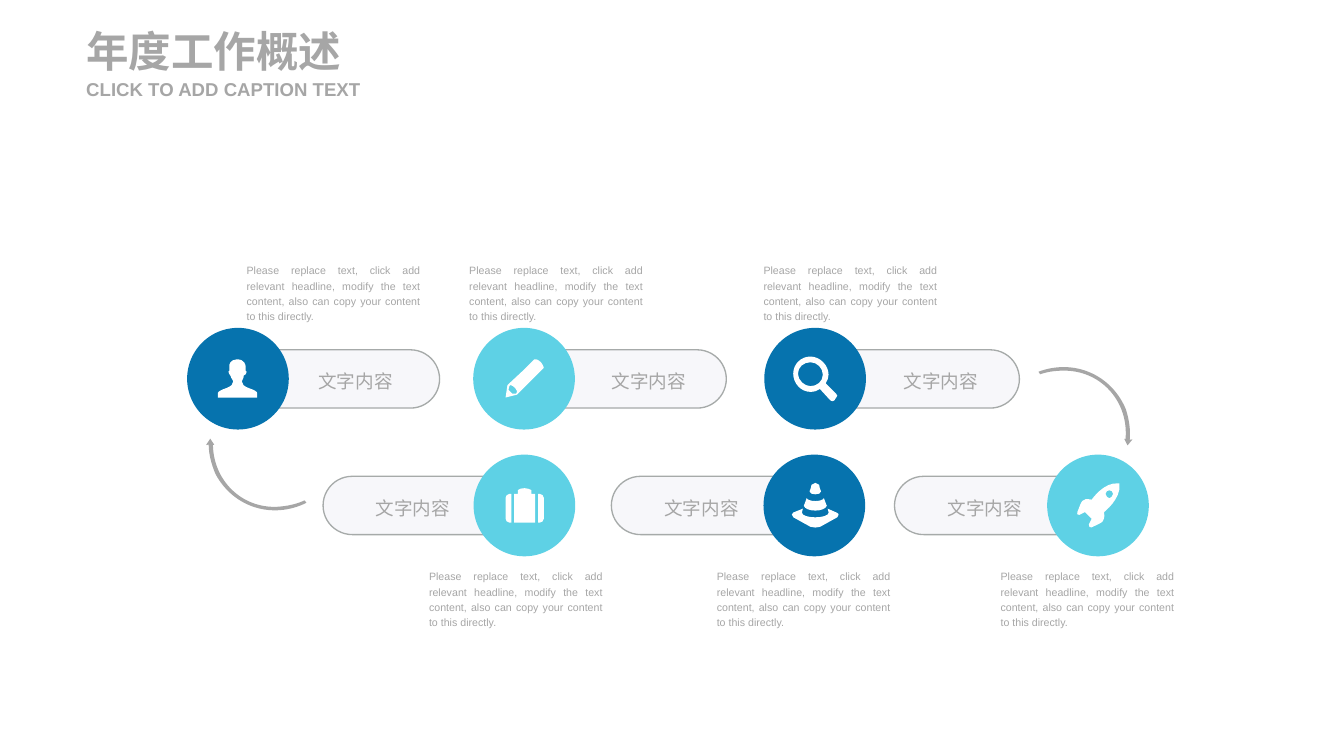
import dataclasses

import lxml.etree
import pptx
import pptx.dml.color
import pptx.enum.shapes
import pptx.enum.text
import pptx.oxml.ns
import pptx.util

Pt = pptx.util.Pt
qn = pptx.oxml.ns.qn
SHAPES = pptx.enum.shapes.MSO_SHAPE
ALIGN = pptx.enum.text.PP_ALIGN
ANCHOR = pptx.enum.text.MSO_ANCHOR


@dataclasses.dataclass(frozen=True)
class Theme:
    font: str = "Arial"
    blue: str = "0673AE"
    cyan: str = "5ED1E5"
    white: str = "FFFFFF"
    pill: str = "F7F7FA"
    pill_edge: str = "A6AAA9"
    gray: str = "A6A6A6"
    title_size: float = 32
    label_size: float = 14
    body_size: float = 8


@dataclasses.dataclass(frozen=True)
class Outline:
    width: int
    height: int
    commands: str


LABEL = "文字内容"
BODY = ("Please replace text, click add relevant headline, modify the text content, "
        "also can copy your content to this directly.")

GRID = 0.72
COMMANDS = {"M": ("a:moveTo", 1), "L": ("a:lnTo", 1), "C": ("a:cubicBezTo", 3), "Z": ("a:close", 0)}

PERSON = Outline(41, 40, (
    "M 32 30 C 27 28 25 26 25 23 C 25 21 27 21 27 17 C 28 16 29 17 30 13 "
    "C 30 12 29 12 29 12 C 29 12 29 9 29 8 C 29 6 28 0 20 0 C 13 0 11 6 12 8 "
    "C 12 9 12 12 12 12 C 12 12 11 12 11 13 C 12 17 13 16 13 17 "
    "C 14 21 16 21 16 23 C 16 26 14 28 9 30 C 3 32 0 34 0 35 C 0 37 0 40 0 40 "
    "L 20 40 L 41 40 C 41 40 41 37 41 35 C 41 34 38 32 32 30 Z"))
PENCIL = Outline(40, 40, (
    "M 11 36 L 7 36 C 7 36 6 35 5 34 C 4 33 4 33 3 32 L 4 28 L 5 27 "
    "C 5 27 7 27 10 30 C 12 32 12 34 12 34 C 12 34 11 36 11 36 Z "
    "M 37 3 C 33 -1 30 0 30 0 L 17 13 L 2 27 L 0 40 L 12 37 L 27 22 L 40 9 "
    "C 40 9 40 7 37 3 Z"))
MAGNIFIER = Outline(46, 46, (
    "M 5 18 C 5 11 11 6 18 6 C 25 6 31 12 31 19 C 31 26 25 31 18 31 "
    "C 12 31 5 25 5 18 Z "
    "M 45 39 L 34 28 C 36 25 37 22 37 19 C 37 9 28 0 18 0 C 8 0 0 8 0 18 "
    "C 0 28 8 37 18 37 C 22 37 25 36 28 34 L 39 46 C 40 47 42 47 43 46 "
    "L 45 43 C 47 42 46 40 45 39 Z"))
SUITCASE = Outline(40, 36, (
    "M 20 0 C 16 0 14 1 13 2 L 13 6 L 9 6 L 9 36 L 31 36 L 31 6 L 27 6 "
    "C 27 6 27 2 27 2 C 25 1 23 0 20 0 Z "
    "M 4 6 C 2 6 0 8 0 10 L 0 32 C 0 34 2 36 4 36 L 6 36 L 6 6 L 4 6 Z "
    "M 34 6 L 34 36 L 36 36 C 38 36 40 34 40 32 L 40 10 C 40 8 38 6 36 6 L 34 6 Z"))
CONE = Outline(49, 46, (
    "M 47 31 L 38 27 L 39 31 C 39 34 33 36 25 36 C 17 36 11 34 11 31 L 12 27 "
    "L 2 31 C 0 32 0 34 2 36 L 20 46 C 23 47 27 47 30 46 L 48 36 "
    "C 50 34 50 32 47 31 Z "
    "M 25 12 C 28 12 31 11 31 9 C 30 6 29 4 29 2 C 28 1 27 0 25 0 "
    "C 23 0 22 1 21 2 C 21 4 20 6 19 9 C 19 11 22 12 25 12 Z "
    "M 25 29 C 31 29 36 27 37 24 C 36 21 35 19 34 16 C 33 18 29 19 25 19 "
    "C 21 19 17 18 16 16 C 15 19 14 21 13 24 C 14 27 19 29 25 29 Z"))
ROCKET = Outline(45, 46, (
    "M 32 14 C 30 12 30 10 32 8 C 33 7 36 7 37 8 C 39 10 39 12 37 14 "
    "C 36 16 33 16 32 14 Z "
    "M 29 30 C 29 30 47 16 45 1 C 45 0 45 0 45 0 C 45 0 45 0 44 0 "
    "C 29 -2 16 17 16 17 C 5 15 6 18 1 30 C 0 32 1 33 3 33 C 5 32 9 30 9 30 "
    "L 16 37 C 16 37 14 41 13 43 C 13 45 14 47 16 46 C 28 40 30 41 29 30 Z"))
CURVED_ARROW = Outline(121, 37, (
    "M 0 36 C 20 2 61 -10 96 9 C 105 15 113 22 119 31 L 121 29 L 121 37 "
    "L 114 34 L 115 33 C 94 2 53 -6 23 16 C 15 22 8 29 3 37 Z"))


class SlideBuilder:
    def __init__(self, slide, theme):
        self.slide = slide
        self.theme = theme

    def paint(self, shape, fill, edge=None):
        shape.shadow.inherit = False
        shape.fill.solid()
        shape.fill.fore_color.rgb = pptx.dml.color.RGBColor.from_string(fill)
        if edge:
            shape.line.color.rgb = pptx.dml.color.RGBColor.from_string(edge)
            shape.line.width = Pt(1)
        else:
            shape.line.fill.background()

    def pill(self, left, top):
        pill = self.slide.shapes.add_shape(
            SHAPES.ROUNDED_RECTANGLE, Pt(left), Pt(top), Pt(153.4), Pt(43.9))
        pill.adjustments[0] = 0.5
        self.paint(pill, self.theme.pill, self.theme.pill_edge)

    def disc(self, left, top, fill):
        disc = self.slide.shapes.add_shape(
            SHAPES.OVAL, Pt(left), Pt(top), Pt(76.6), Pt(76.6))
        self.paint(disc, fill)

    def outline(self, outline, left, top, fill, rotation=0):
        width, height = outline.width, outline.height
        builder = self.slide.shapes.build_freeform(0, 0, scale=Pt(GRID))
        builder.add_line_segments([(width, 0), (width, height), (0, height)])
        shape = builder.convert_to_shape(Pt(left), Pt(top))
        contour = shape._element.xpath(".//a:path")[0]
        for segment in list(contour):
            contour.remove(segment)
        tokens = iter(outline.commands.split())
        for letter in tokens:
            tag, point_count = COMMANDS[letter]
            segment = lxml.etree.SubElement(contour, qn(tag))
            for _ in range(point_count):
                lxml.etree.SubElement(segment, qn("a:pt"), x=next(tokens), y=next(tokens))
        shape.rotation = rotation
        self.paint(shape, fill)

    def text(self, words, left, top, width, height, size, align=ALIGN.LEFT,
             anchor=ANCHOR.MIDDLE, spacing=1.0, bold=False):
        box = self.slide.shapes.add_textbox(Pt(left), Pt(top), Pt(width), Pt(height))
        frame = box.text_frame
        frame.word_wrap = True
        frame.auto_size = pptx.enum.text.MSO_AUTO_SIZE.SHAPE_TO_FIT_TEXT
        frame.vertical_anchor = anchor
        frame.margin_left = frame.margin_right = frame.margin_top = frame.margin_bottom = 0
        paragraph = frame.paragraphs[0]
        paragraph.text = words
        paragraph.alignment = align
        paragraph.line_spacing = spacing
        paragraph.font.name = self.theme.font
        paragraph.font.size = Pt(size)
        paragraph.font.bold = bold
        paragraph.font.color.rgb = pptx.dml.color.RGBColor.from_string(self.theme.gray)

    def step(self, row, pill_x, disc_x, label_x, body_x, color, icon, icon_x, icon_y):
        pill_y, disc_y, label_y, body_y = row
        self.pill(pill_x, pill_y)
        self.disc(disc_x, disc_y, color)
        self.outline(icon, icon_x, icon_y, self.theme.white)
        self.text(LABEL, label_x, label_y, 95.8, 18.7, self.theme.label_size,
                  ALIGN.CENTER, spacing=1.2)
        self.text(BODY, body_x, body_y, 131, 45.4, self.theme.body_size,
                  ALIGN.JUSTIFY, ANCHOR.TOP, 1.2)


def main():
    deck = pptx.Presentation()
    deck.slide_width, deck.slide_height = Pt(1012.5), Pt(569.5)
    theme = Theme()
    page = SlideBuilder(deck.slides.add_slide(deck.slide_layouts[6]), theme)

    page.text("年度工作概述", 65, 18.7, 221, 38.9, theme.title_size, bold=True)
    page.text("CLICK TO ADD CAPTION TEXT", 65, 58.3, 221, 17.3, theme.label_size, bold=True)

    upper = (263.5, 247, 275.8, 197.2)
    lower = (358.8, 342.5, 371.5, 427.7)
    steps = [
        (upper, 177.8, 141, 220, 185.8, theme.blue, PERSON, 164.2, 270.7),
        (upper, 393.8, 356.5, 441, 353.5, theme.cyan, PENCIL, 380.9, 270.7),
        (upper, 614.6, 575.8, 661, 575.2, theme.blue, MAGNIFIER, 597.6, 268.6),
        (lower, 673.9, 788.9, 694, 753.8, theme.cyan, ROCKET, 810.9, 364.2),
        (lower, 460.6, 575.2, 480.7, 540, theme.blue, CONE, 596.2, 363.8),
        (lower, 243.4, 356.8, 263.2, 323.2, theme.cyan, SUITCASE, 380.9, 367.8),
    ]
    for step in steps:
        page.step(*step)

    page.outline(CURVED_ARROW, 780.5, 284.4, theme.gray, 39.1)
    page.outline(CURVED_ARROW, 144, 352.1, theme.gray, 213.2)
    deck.save("out.pptx")


if __name__ == "__main__":
    main()
